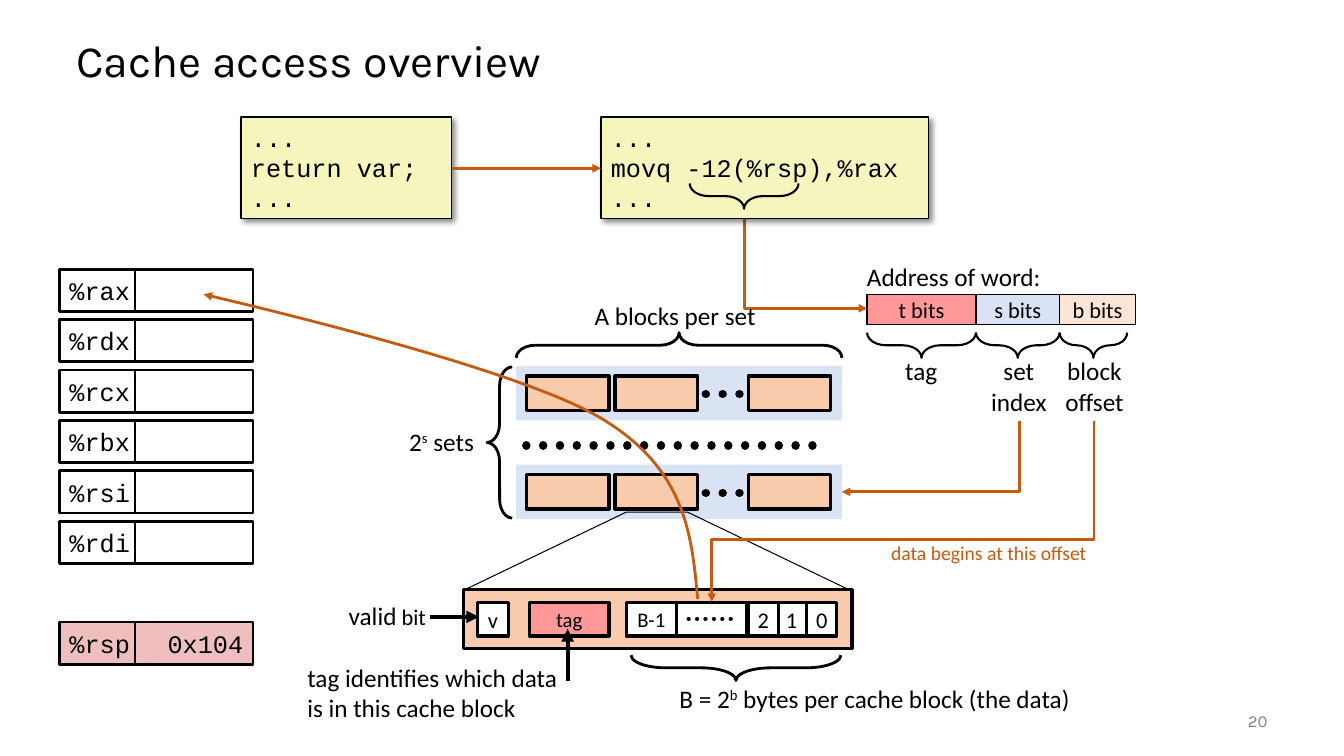
from lxml.etree import SubElement
from pptx import Presentation
from pptx.dml.color import RGBColor
from pptx.enum.shapes import MSO_CONNECTOR, MSO_SHAPE
from pptx.enum.text import MSO_ANCHOR, MSO_AUTO_SIZE, PP_ALIGN
from pptx.oxml.ns import qn
from pptx.util import Inches, Pt

BLACK = RGBColor(0x00, 0x00, 0x00)
WHITE = RGBColor(0xFF, 0xFF, 0xFF)
GRAY = RGBColor(0x80, 0x80, 0x80)
RUST = RGBColor(0xC5, 0x5A, 0x11)
PEACH = RGBColor(0xF8, 0xCB, 0xAD)
PALE_PEACH = RGBColor(0xFB, 0xE5, 0xD6)
PALE_BLUE = RGBColor(0xDA, 0xE3, 0xF3)
SALMON = RGBColor(0xFF, 0x99, 0x99)
PINK = RGBColor(0xEF, 0xBF, 0xBF)
CREAM = RGBColor(0xF6, 0xF5, 0xBD)

LEFT, CENTER, RIGHT = PP_ALIGN.LEFT, PP_ALIGN.CENTER, PP_ALIGN.RIGHT
BODY, CODE, HEADING = "Calibri", "Courier New", "Karla"

TITLE = "Cache access overview"
PAGE = "20"

SET_TOPS = (3.63, 4.61)
SET_LEFT, SET_WIDTH = 5.12, 3.23
BLOCK_OFFSETS = (0.1, 0.98, 2.3)

BLOCK_FIELDS = [
    ("0", 8.0, 0.3, WHITE, 16),
    ("1", 7.7, 0.3, WHITE, 16),
    ("2", 7.42, 0.3, WHITE, 16),
    ("B-1", 6.21, 0.5, WHITE, 14.8),
    ("", 6.71, 0.7, WHITE, 16),
    ("tag", 5.25, 0.79, SALMON, 14.8),
    ("v", 4.74, 0.3, WHITE, 16),
]
ADDRESS_LEFT = 8.6
ADDRESS_FIELDS = [
    ("t bits", 1.08, SALMON),
    ("s bits", 0.83, PALE_BLUE),
    ("b bits", 0.75, PALE_PEACH),
]
REGISTERS = [
    ("%rax", "", 0), ("%rdx", "", 1), ("%rcx", "", 2), ("%rbx", "", 3),
    ("%rsi", "", 4), ("%rdi", "", 5), ("%rsp", "0x104", 7),
]
PROGRAMS = [
    (2.39, 2.09, ["...", "return var;", "..."]),
    (5.96, 3.25, ["...", "movq -12(%rsp),%rax", "..."]),
]
BRACES = [
    (5.12, 3.3, 3.23, 90, 0.75, 2),
    (4.83, 3.64, 1.5, 0, 0.75, 2),
    (6.26, 6.5, 2.08, 270, 1.37, 2),
    (8.6, 3.3, 1.08, 270, 0.75, 1.5),
    (9.68, 3.3, 0.83, 270, 0.75, 1.5),
    (10.51, 3.3, 0.67, 270, 0.75, 1.5),
]
OPERAND_BRACE = (6.84, 1.82, 1.08, 270, 0.75, 1.5)
LABELS = [
    (5.8, 2.93, 1.82, 0.4, LEFT, BLACK, 18, ["A blocks per set"]),
    (3.96, 4.18, 0.87, 0.4, LEFT, BLACK, 18, [[("2", 18, 0), ("s", 18, 30), (" sets", 18, 0)]]),
    (6.64, 6.73, 4.19, 0.4, LEFT, BLACK, 18,
     [[("B = 2", 18, 0), ("b", 18, 30), (" bytes per cache block (the data)", 18, 0)]]),
    (8.88, 3.48, 0.53, 0.4, LEFT, BLACK, 18, ["tag"]),
    (9.72, 3.48, 0.77, 0.71, CENTER, BLACK, 18, ["set", "index"]),
    (10.45, 3.48, 0.81, 0.71, CENTER, BLACK, 18, ["block", "offset"]),
    (8.74, 5.32, 2.2, 0.34, LEFT, RUST, 14, ["data begins at this offset"]),
    (8.5, 2.54, 1.98, 0.4, LEFT, BLACK, 18, ["Address of word:"]),
    (3.36, 5.91, 1.02, 0.4, LEFT, BLACK, 18, [[("valid", 18, 0), (" bit", 16, 0)]]),
]
TAG_NOTE = "tag identifies which data is in this cache block"
ELBOWS = [
    (8.88, 3.65, 0.7, 1.76, 90, False, "bentConnector2", None),
    (8.06, 3.18, 1.79, 3.79, 90, False, "bentConnector3", 65400),
    (7.31, 1.77, 1.36, 1.22, 270, True, "bentConnector2", None),
]
ARROWS = [
    (4.48, 1.67, 5.96, 1.67, RUST, 2),
    (4.27, 6.12, 4.75, 6.12, BLACK, 3),
    (5.63, 6.76, 5.63, 6.24, BLACK, 3),
]
DATA_PATH = [(6.92, 5.94), (6.86, 5.3), (6.8, 4.66), (5.98, 4.16),
             (5.17, 3.66), (2.02, 2.92), (2.02, 2.92)]

prs = Presentation()
prs.slide_width, prs.slide_height = Inches(13.33), Inches(7.5)
slide = prs.slides.add_slide(prs.slide_layouts[6])
shapes = slide.shapes


def apply(target, formats):
    for name, value in formats.items():
        setattr(target, name, value)


def write(frame, lines, size, color=BLACK, font=BODY, align=LEFT, **frame_formats):
    apply(frame, {"word_wrap": False, "vertical_anchor": MSO_ANCHOR.MIDDLE, **frame_formats})
    for index, line in enumerate(lines):
        paragraph = frame.paragraphs[0] if index == 0 else frame.add_paragraph()
        paragraph.alignment = align
        for text, run_size, raised in [(line, size, 0)] if isinstance(line, str) else line:
            run = paragraph.add_run()
            run.text = text
            apply(run.font, {"size": Pt(run_size), "name": font})
            run.font.color.rgb = color
            if raised:
                run.font._element.set("baseline", str(raised * 1000))


def label(left, top, width, height, lines, size, **formats):
    box = shapes.add_textbox(*map(Inches, (left, top, width, height)))
    write(box.text_frame, lines, size, **formats)
    return box


def outline(part, color, weight):
    part.line.color.rgb = color
    part.line.width = Pt(weight)


def box(left, top, width, height, fill=None, weight=2.25, kind=MSO_SHAPE.RECTANGLE):
    part = shapes.add_shape(kind, *map(Inches, (left, top, width, height)))
    part.shadow.inherit = False
    if fill is None:
        part.fill.background()
    else:
        part.fill.solid()
        part.fill.fore_color.rgb = fill
    if weight:
        outline(part, BLACK, weight)
    else:
        part.line.fill.background()
    return part


def arrowhead(part):
    SubElement(part.line._get_or_add_ln(), qn("a:tailEnd"), type="triangle")


def connect(x1, y1, x2, y2, color, weight, kind=MSO_CONNECTOR.STRAIGHT):
    link = shapes.add_connector(kind, *map(Inches, (x1, y1, x2, y2)))
    outline(link, color, weight)
    SubElement(link._element.spPr, qn("a:effectLst"))
    return link


def dots(x1, x2, y, weight):
    ln = connect(x1, y, x2, y, BLACK, weight).line._get_or_add_ln()
    ln.set("cap", "rnd")
    SubElement(ln, qn("a:prstDash"), val="sysDot")


def brace(x, y, length, rotation, curl, weight, depth=0.25):
    if rotation:
        x, y = x + (length - depth) / 2, y - (length - depth) / 2
    part = box(x, y, depth, length, None, weight, MSO_SHAPE.LEFT_BRACE)
    part.rotation = rotation
    part.adjustments[0] = curl


label(0.66, 0.25, 12, 0.75, [TITLE], 32, font=HEADING, word_wrap=True
      ).text_frame.paragraphs[0].line_spacing = 0.9

dots(5.22, 8.18, 4.42, 6)
for top in SET_TOPS:
    box(SET_LEFT, top, SET_WIDTH, 0.54, PALE_BLUE, 0)
    for offset in BLOCK_OFFSETS:
        box(SET_LEFT + offset, top + 0.1, 0.82, 0.34, PEACH)
    dots(SET_LEFT + 1.88, SET_LEFT + 2.3, top + 0.28, 6)

zoom = box(4.59, 5.08, 3.85, 0.78, None, 0.75, MSO_SHAPE.TRAPEZOID)
zoom.adjustments[0] = 2.08
box(4.6, 5.85, 3.85, 0.58, PEACH)
for text, left, width, fill, size in BLOCK_FIELDS:
    field = box(left, 5.98, width, 0.33, fill)
    if text:
        write(field.text_frame, [text], size, align=CENTER)
dots(6.83, 7.33, 6.14, 3)

left = ADDRESS_LEFT
for text, width, fill in ADDRESS_FIELDS:
    write(box(left, 2.92, width, 0.3, fill, 1).text_frame, [text], 16, align=CENTER)
    left += width

for part in BRACES:
    brace(*part)

for left, top, width, height, rotation, flipped, preset, bend in ELBOWS:
    elbow = connect(left, top, left + width, top + height, RUST, 2, MSO_CONNECTOR.ELBOW)
    arrowhead(elbow)
    frame = elbow._element.spPr.find(qn("a:xfrm"))
    frame.set("rot", str(rotation * 60000))
    if flipped:
        frame.set("flipH", "1")
    geometry = elbow._element.spPr.find(qn("a:prstGeom"))
    geometry.set("prst", preset)
    if bend:
        SubElement(geometry.find(qn("a:avLst")), qn("a:gd"), name="adj1", fmla=f"val {bend}")

for left, top, width, height, align, color, size, lines in LABELS:
    label(left, top, width, height, lines, size, color=color, align=align,
          vertical_anchor=MSO_ANCHOR.TOP, auto_size=MSO_AUTO_SIZE.SHAPE_TO_FIT_TEXT)
label(2.95, 6.52, 2.69, 0.71, [TAG_NOTE], 18, word_wrap=True, vertical_anchor=MSO_ANCHOR.TOP)

for name, value, row in REGISTERS:
    top, fill = 2.67 + 0.5 * row, PINK if value else WHITE
    write(box(0.59, top, 0.75, 0.42, fill, 2).text_frame, [name], 18, font=CODE)
    content = box(1.34, top, 1.17, 0.42, fill, 2)
    if value:
        write(content.text_frame, [value], 18, font=CODE, align=RIGHT)

points = [(Inches(x), Inches(y)) for x, y in DATA_PATH]
builder = shapes.build_freeform(*points[0])
builder.add_line_segments(points[1:], close=False)
data_curve = builder.convert_to_shape()
data_curve.shadow.inherit = False
data_curve.fill.background()
outline(data_curve, RUST, 2)
arrowhead(data_curve)
segments = list(data_curve._element.iter(qn("a:lnTo")))
track = segments[0].getparent()
for start in range(0, len(segments), 3):
    bend = SubElement(track, qn("a:cubicBezTo"))
    for segment in segments[start:start + 3]:
        bend.append(segment[0])
        track.remove(segment)

label(11.67, 6.95, 1, 0.4, [PAGE], 12, color=GRAY, font=HEADING, align=RIGHT, word_wrap=True)

for left, width, lines in PROGRAMS:
    program = box(left, 1.16, width, 1.01, CREAM, 1)
    write(program.text_frame, lines, 18, font=CODE, word_wrap=True, vertical_anchor=MSO_ANCHOR.TOP)
    effects = program._element.spPr.find(qn("a:effectLst"))
    shadow = SubElement(effects, qn("a:outerShdw"), blurRad=str(Pt(4)), dist=str(Pt(3)),
                        dir="2700000", algn="tl", rotWithShape="0")
    tint = SubElement(shadow, qn("a:srgbClr"), val=str(BLACK))
    SubElement(tint, qn("a:alpha"), val="43000")
brace(*OPERAND_BRACE)

for arrow in ARROWS:
    arrowhead(connect(*arrow))

prs.save("out.pptx")
